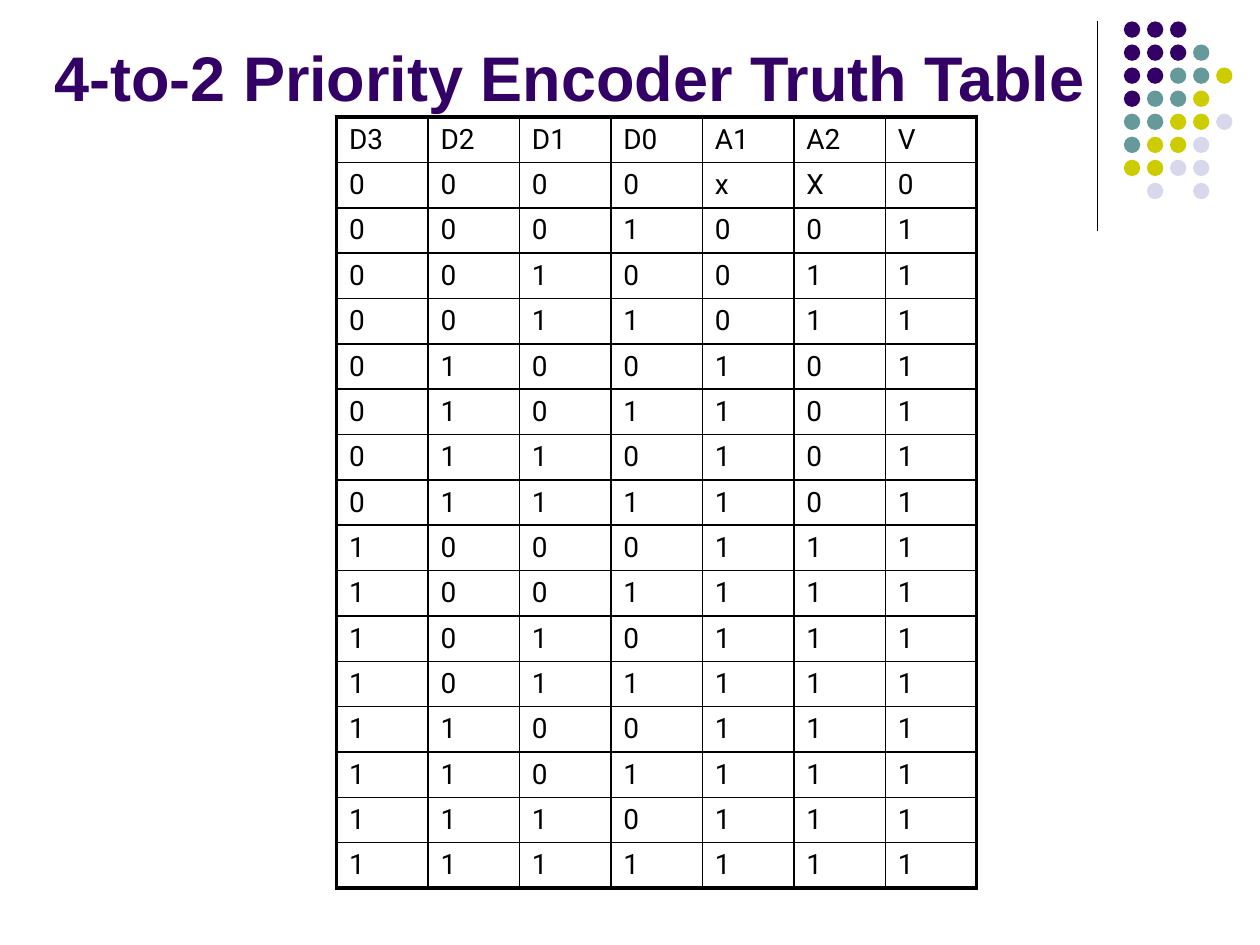
"""Build a slide with the truth table of a 4-to-2 priority encoder."""
from dataclasses import dataclass
from itertools import product

from lxml import etree
from pptx import Presentation
from pptx.dml.color import RGBColor
from pptx.enum.shapes import MSO_CONNECTOR, MSO_SHAPE
from pptx.enum.text import MSO_ANCHOR, PP_ALIGN
from pptx.oxml.ns import qn
from pptx.slide import Slide
from pptx.table import _Cell
from pptx.util import Inches, Pt

STRAIGHT = MSO_CONNECTOR.STRAIGHT
OVAL = MSO_SHAPE.OVAL
MIDDLE = MSO_ANCHOR.MIDDLE
TOP = MSO_ANCHOR.TOP
LEFT = PP_ALIGN.LEFT
TITLE_ONLY = 5

COLORS = {
    "black": "000000",
    "purple": "330066",
    "teal": "669999",
    "yellow": "CCCC00",
    "lavender": "D8D8EC",
}
DOT_COLORS = {"p": "purple", "t": "teal", "y": "yellow", "l": "lavender"}
DOT_ROWS = ["ppp", "pppt", "pptty", "ptty", "ttyyl", "tyyl", "yyll", " l l"]
DOT_LEFT, DOT_TOP, DOT_SIZE, DOT_PITCH = 8.92, 0.17, 0.13, 0.183

HEADERS = ["D3", "D2", "D1", "D0", "A1", "A2", "V"]
ENCODED = ["11", "10", "01", "00"]
COLUMN_WIDTH, ROW_HEIGHT = 0.726, 0.36
OUTER_BORDER, INNER_BORDER = 2.25, 1


@dataclass(frozen=True)
class Dot:
    left: float
    top: float
    color: str


def rgb(name: str) -> RGBColor:
    return RGBColor.from_string(COLORS[name])


def dot_grid() -> list[Dot]:
    return [
        Dot(DOT_LEFT + column * DOT_PITCH, DOT_TOP + row * DOT_PITCH, DOT_COLORS[key])
        for row, keys in enumerate(DOT_ROWS)
        for column, key in enumerate(keys)
        if key in DOT_COLORS
    ]


def draw_dot(slide: Slide, dot: Dot) -> None:
    shape = slide.shapes.add_shape(
        OVAL, Inches(dot.left), Inches(dot.top), Inches(DOT_SIZE), Inches(DOT_SIZE)
    )
    shape.shadow.inherit = False
    shape.fill.solid()
    shape.fill.fore_color.rgb = rgb(dot.color)
    shape.line.fill.background()


def draw_divider(slide: Slide) -> None:
    divider = slide.shapes.add_connector(
        STRAIGHT, Inches(8.71), Inches(0.17), Inches(8.71), Inches(1.83)
    )
    divider.line.color.rgb = rgb("black")
    divider.line.width = Pt(0.75)
    properties = divider._element.find(qn("p:spPr"))
    etree.SubElement(properties, qn("a:effectLst"))


def add_run(paragraph, text: str, font: str, size: int, color: str, bold: bool = False) -> None:
    run = paragraph.add_run()
    run.text = text
    run.font.name = font
    run.font.size = Pt(size)
    run.font.bold = bold
    run.font.color.rgb = rgb(color)


def draw_title(slide: Slide) -> None:
    title = slide.shapes.title
    title.left, title.top = Inches(0.33), Inches(-0.02)
    title.width, title.height = Inches(8.5), Inches(1.25)
    frame = title.text_frame
    frame.word_wrap = True
    frame.vertical_anchor = MIDDLE
    paragraph = frame.paragraphs[0]
    paragraph.alignment = LEFT
    add_run(paragraph, "4-to-2 Priority Encoder Truth Table", "Arial", 36, "purple", True)


def truth_rows() -> list[list[str]]:
    rows = [HEADERS]
    for inputs in product("01", repeat=4):
        outputs = [*ENCODED[inputs.index("1")], "1"] if "1" in inputs else ["x", "X", "0"]
        rows.append([*inputs, *outputs])
    return rows


def set_border(cell: _Cell, side: str, width: float) -> None:
    properties = cell._tc.get_or_add_tcPr()
    line = etree.SubElement(properties, qn(f"a:ln{side}"), w=str(Pt(width)))
    fill = etree.SubElement(line, qn("a:solidFill"))
    etree.SubElement(fill, qn("a:srgbClr"), val=COLORS["black"])


def draw_table(slide: Slide, rows: list[list[str]]) -> None:
    row_count, column_count = len(rows), len(HEADERS)
    table = slide.shapes.add_table(
        row_count, column_count, Inches(2.67), Inches(0.93),
        Inches(COLUMN_WIDTH * column_count), Inches(ROW_HEIGHT * row_count),
    ).table
    table.first_row = False
    table.horz_banding = False
    for column in table.columns:
        column.width = Inches(COLUMN_WIDTH)
    for row_index, values in enumerate(rows):
        table.rows[row_index].height = Inches(ROW_HEIGHT)
        for column_index, value in enumerate(values):
            cell = table.cell(row_index, column_index)
            cell.vertical_anchor = TOP
            outer_sides = {
                "L": column_index == 0,
                "R": column_index == column_count - 1,
                "T": row_index == 0,
                "B": row_index == row_count - 1,
            }
            for side, is_outer in outer_sides.items():
                set_border(cell, side, OUTER_BORDER if is_outer else INNER_BORDER)
            cell.fill.background()
            add_run(cell.text_frame.paragraphs[0], value, "Roboto", 16, "black")


def main() -> None:
    presentation = Presentation()
    presentation.slide_width, presentation.slide_height = Inches(10), Inches(7.5)
    slide = presentation.slides.add_slide(presentation.slide_layouts[TITLE_ONLY])
    draw_divider(slide)
    for dot in dot_grid():
        draw_dot(slide, dot)
    draw_table(slide, truth_rows())
    draw_title(slide)
    presentation.save("out.pptx")


if __name__ == "__main__":
    main()
